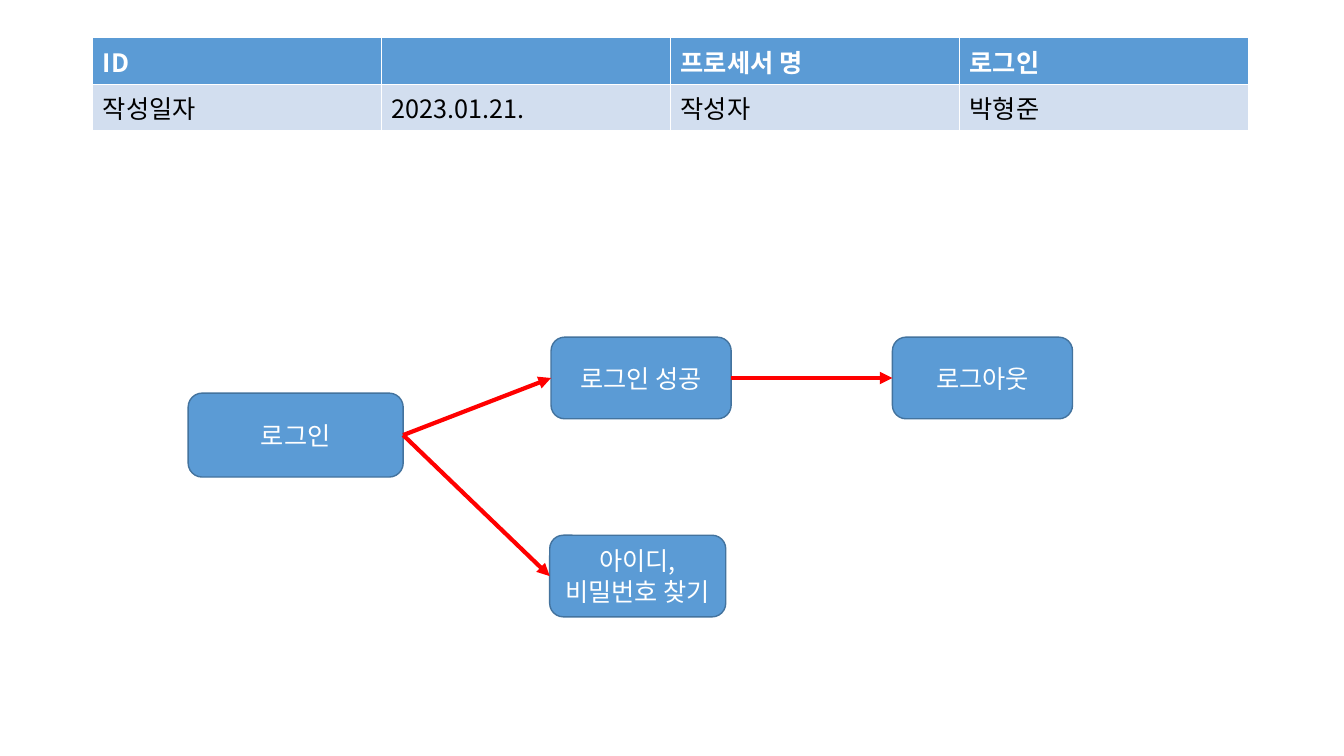
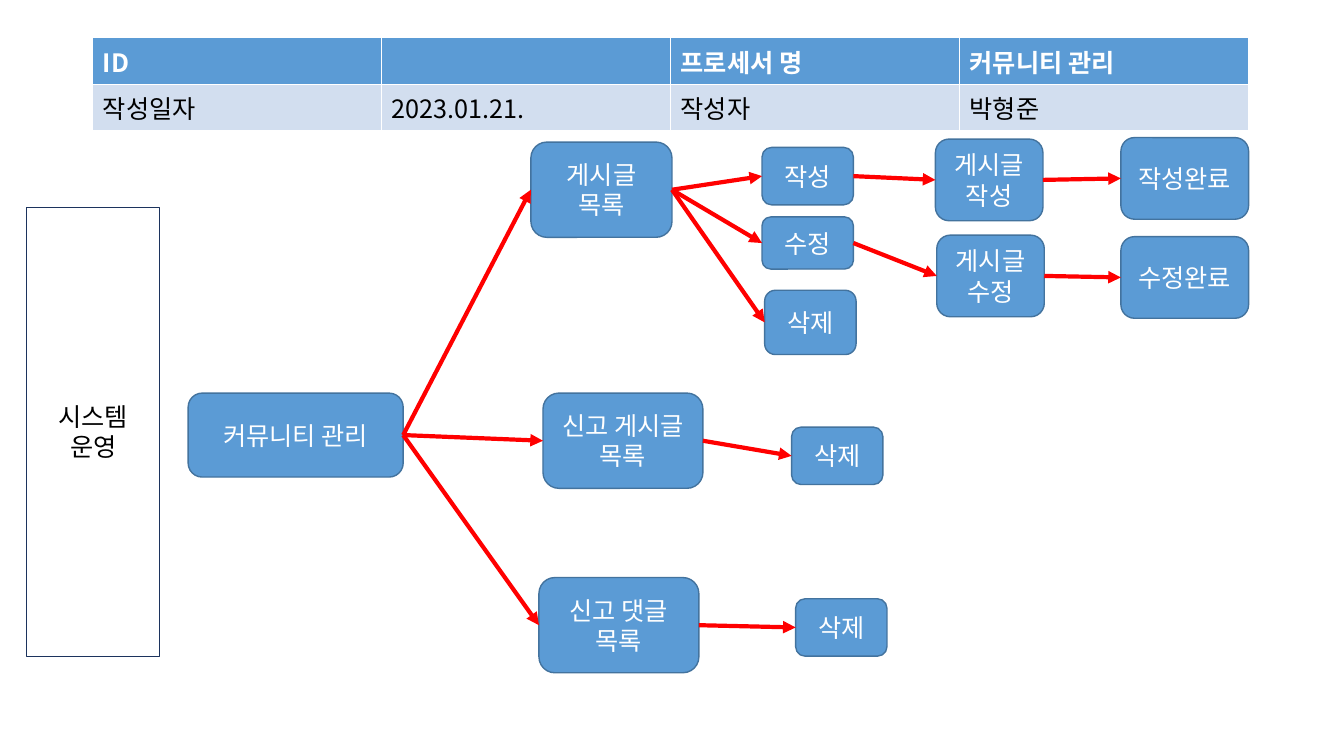
from dataclasses import dataclass

from lxml.etree import SubElement
from pptx import Presentation
from pptx.dml.color import RGBColor
from pptx.enum.shapes import MSO_CONNECTOR, MSO_SHAPE
from pptx.enum.text import MSO_ANCHOR, PP_ALIGN
from pptx.oxml.ns import qn
from pptx.util import Inches, Pt


@dataclass(frozen=True)
class Theme:
    font: str = "Noto Sans CJK KR"
    size: int = 18
    blue: RGBColor = RGBColor(0x5B, 0x9B, 0xD5)
    pale: RGBColor = RGBColor(0xD2, 0xDE, 0xEF)
    edge: RGBColor = RGBColor(0x43, 0x73, 0x9E)
    navy: RGBColor = RGBColor(0x1C, 0x33, 0x5D)
    red: RGBColor = RGBColor(0xFF, 0, 0)
    white: RGBColor = RGBColor(0xFF, 0xFF, 0xFF)
    black: RGBColor = RGBColor(0, 0, 0)


theme = Theme()
deck = Presentation()
deck.slide_width, deck.slide_height = Inches(13.33), Inches(7.5)
col, row = deck.slide_width / 100, deck.slide_height / 100


def write(frame, text, color, bold=False):
    """Add the text run by run, with a line break at each newline."""
    par = frame.paragraphs[0]
    for i, line in enumerate(text.split("\n")):
        if i:
            par.add_line_break()
        run = par.add_run()
        run.text = line
        font = run.font
        font.size, font.bold, font.name = Pt(theme.size), bold, theme.font
        font.color.rgb = color
        SubElement(font._element, qn("a:ea"), typeface=theme.font)
    return par


def draw_box(slide, kind, text, place, fill, edge, width, ink):
    """Draw a box; place is left, top, width, height in columns and rows."""
    x, y, w, h = place
    box = slide.shapes.add_shape(kind, int(x * col), int(y * row), int(w * col), int(h * row))
    box.shadow.inherit = False
    box.fill.solid()
    box.fill.fore_color.rgb = fill
    box.line.color.rgb = edge
    box.line.width = Pt(width)
    frame = box.text_frame
    frame.word_wrap = True
    frame.vertical_anchor = MSO_ANCHOR.MIDDLE
    write(frame, text, ink).alignment = PP_ALIGN.CENTER
    return box


# Box sizes in columns and rows
ROOT, LIST, REPORT = (16, 11.1), (10.5, 12.6), (11.9, 12.6)
STEP, FIND, FORM, DONE = (13.4, 10.8), (13.1, 10.8), (8, 10.8), (9.5, 10.8)
ACT, SLIM, TALL = (6.8, 7.6), (6.8, 6.9), (6.8, 8.5)

# Each flow: title, side label, then (text, parent, left, top, size)
flows = [
    ("로그인", None, [
        ("로그인", None, 14, 52, ROOT),
        ("아이디,비밀번호 찾기", "로그인", 40.9, 70.8, FIND),
        ("로그인 성공", "로그인", 41, 44.6, STEP),
        ("로그아웃", "로그인 성공", 66.4, 44.6, STEP),
    ]),
    ("커뮤니티 관리", "시스템\n운영", [
        ("커뮤니티 관리", None, 14, 52, ROOT),
        ("게시글 목록", "커뮤니티 관리", 39.5, 18.8, LIST),
        ("작성", "게시글 목록", 56.7, 19.5, ACT),
        ("게시글작성", "작성", 69.6, 18.4, FORM),
        ("작성완료", "게시글작성", 83.4, 18.2, DONE),
        ("수정", "게시글 목록", 56.7, 28.7, SLIM),
        ("게시글수정", "수정", 69.7, 31.1, FORM),
        ("수정완료", "게시글수정", 83.4, 31.3, DONE),
        ("삭제", "게시글 목록", 56.9, 38.4, TALL),
        ("신고 게시글 목록", "커뮤니티 관리", 40.4, 52, REPORT),
        ("삭제", "신고 게시글 목록", 58.9, 56.5, ACT),
        ("신고 댓글 목록", "커뮤니티 관리", 40.1, 76.4, REPORT),
        ("삭제", "신고 댓글 목록", 59.2, 79.2, ACT),
    ]),
]

LEFT, RIGHT = 1, 3  # connection sites of a box

for title, side, steps in flows:
    slide = deck.slides.add_slide(deck.slide_layouts[6])

    # Head table
    rows = [("ID", "", "프로세서 명", title),
            ("작성일자", "2023.01.21.", "작성자", "박형준")]
    table = slide.shapes.add_table(2, 4, int(6.9 * col), int(5 * row),
                                   int(86 * col), int(11.2 * row)).table
    for r, texts in enumerate(rows):
        head = r == 0
        for c, text in enumerate(texts):
            cell = table.cell(r, c)
            props = cell._tc.get_or_add_tcPr()
            for edge in ("lnL", "lnR", "lnT", "lnB"):
                line = SubElement(props, qn("a:" + edge), w=str(Pt(1)))
                paint = SubElement(line, qn("a:solidFill"))
                SubElement(paint, qn("a:srgbClr"), val=str(theme.white))
            cell.fill.solid()
            cell.fill.fore_color.rgb = theme.blue if head else theme.pale
            if text:
                write(cell.text_frame, text, theme.white if head else theme.black, head)

    # Side label
    if side:
        draw_box(slide, MSO_SHAPE.RECTANGLE, side, (2, 27.4, 9.9, 59.4),
                 theme.white, theme.navy, 0.5, theme.black)

    # Flow boxes, each with an arrow from its parent
    boxes = {}
    for text, parent, x, y, size in steps:
        box = draw_box(slide, MSO_SHAPE.ROUNDED_RECTANGLE, text, (x, y, *size),
                       theme.blue, theme.edge, 1, theme.white)
        boxes[text] = box
        if parent:
            arrow = slide.shapes.add_connector(MSO_CONNECTOR.STRAIGHT, 0, 0, 0, 0)
            arrow.begin_connect(boxes[parent], RIGHT)
            arrow.end_connect(box, LEFT)
            arrow.line.color.rgb = theme.red
            arrow.line.width = Pt(3)
            SubElement(arrow.line._get_or_add_ln(), qn("a:tailEnd"), type="triangle")
            SubElement(arrow._element.spPr, qn("a:effectLst"))

deck.save("out.pptx")
